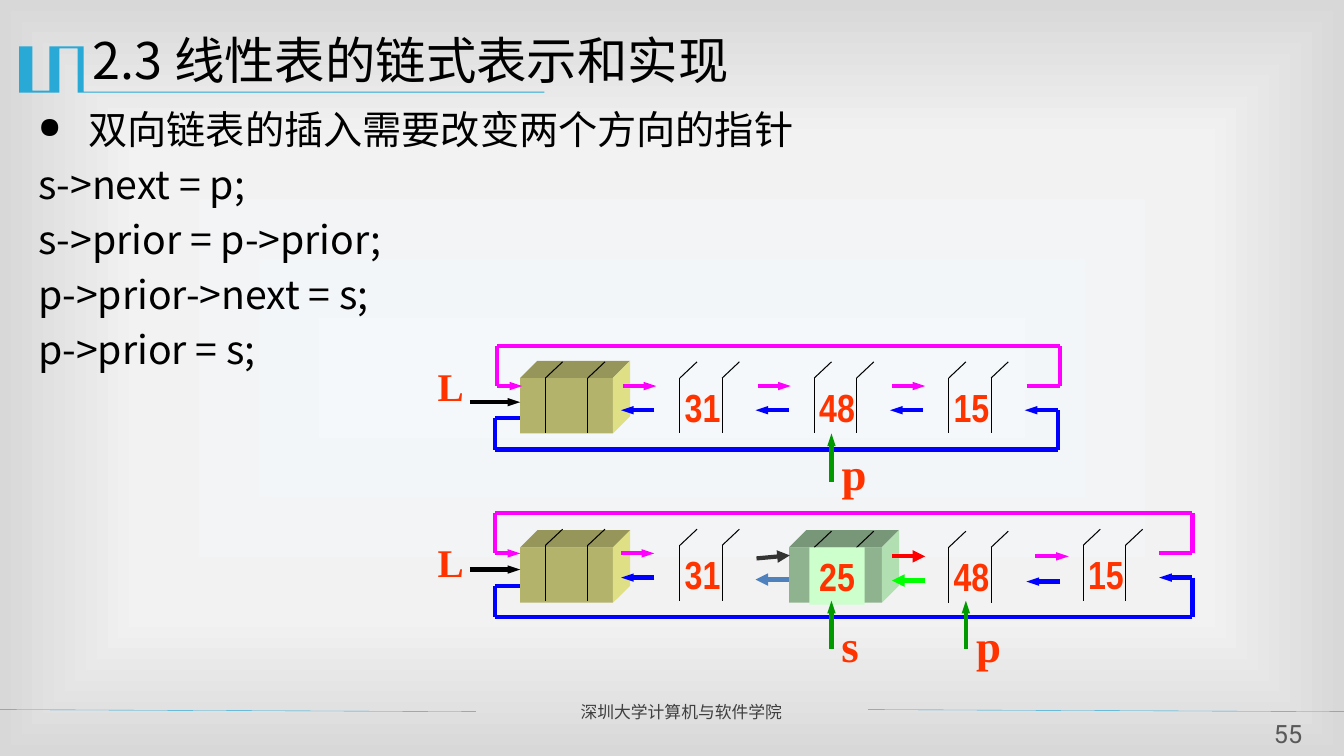
from dataclasses import dataclass

from lxml import etree
from pptx import Presentation
from pptx.dml.color import RGBColor
from pptx.enum.shapes import MSO_CONNECTOR, MSO_SHAPE
from pptx.enum.text import MSO_ANCHOR, PP_ALIGN
from pptx.oxml import parse_xml
from pptx.oxml.ns import nsdecls, qn
from pptx.util import Inches, Pt

STRAIGHT = MSO_CONNECTOR.STRAIGHT
RECT = MSO_SHAPE.RECTANGLE
TOP, MIDDLE = MSO_ANCHOR.TOP, MSO_ANCHOR.MIDDLE
LEFT, CENTER, JUSTIFY = PP_ALIGN.LEFT, PP_ALIGN.CENTER, PP_ALIGN.JUSTIFY


@dataclass(frozen=True)
class Theme:
    """Colours, fonts and type sizes of the slide."""
    accent: str = "28A9D6"
    ink: str = "000000"
    footer: str = "3F3F3F"
    number: str = "595959"
    label: str = "FF3300"
    next: str = "FF00FF"
    prior: str = "0000FF"
    pointer: str = "009900"
    head: tuple = ("B3B36B", "96965A", "DFDF86")
    fresh: tuple = ("8FB38F", "789678", "B2DFB2")
    patch: str = "CCFFCC"
    fresh_links: tuple = ("333333", "4F81BD", "FF0000", "00FF00")
    backdrop: tuple = ((0, "F4F8FB"), (63, "F2F2F2"), (100, "D8D8D8"))
    sans: str = "Noto Sans CJK SC"
    small_sans: str = "Roboto"
    narrow: str = "Arial Narrow"
    serif: str = "Times New Roman"
    title_pt: int = 36
    body_pt: int = 28
    pointer_pt: int = 32
    footer_pt: int = 12
    number_pt: int = 18


T = Theme()
PITCH = 4 / 3
BARS = (0.25, 0.67)
DEPTH = 0.17
FRONT_W, FRONT_H = 0.92, 0.55


def add_run(p, text, size, font, color, bold=False):
    """Add a formatted run to a paragraph."""
    r = p.add_run()
    r.text = text
    r.font.size, r.font.name, r.font.bold = Pt(size), font, bold
    r.font.color.rgb = RGBColor.from_string(color)
    etree.SubElement(r.font._element, qn("a:ea")).set("typeface", font)


def add_text(slide, box, text, size, font, color, align=CENTER, anchor=TOP, bold=False, wrap=False):
    """Place one line of text in a box."""
    tf = slide.shapes.add_textbox(*map(Inches, box)).text_frame
    tf.word_wrap, tf.vertical_anchor = wrap, anchor
    if not wrap:
        tf.margin_left = tf.margin_right = 0
    p = tf.paragraphs[0]
    p.alignment = align
    add_run(p, text, size, font, color, bold)
    return tf


def add_label(slide, box, text, size, font):
    """Place a bold label of the diagram, centred in its box."""
    add_text(slide, box, text, size, font, T.label, anchor=MIDDLE, bold=True)


def add_line(slide, start, end, color, width=3, arrow=None):
    """Draw a straight line, with an arrowhead of the given breadth at its end."""
    sp = slide.shapes.add_connector(STRAIGHT, *map(Inches, (*start, *end)))
    sp.line.color.rgb, sp.line.width = RGBColor.from_string(color), Pt(width)
    if arrow:
        tail = etree.SubElement(sp.line._get_or_add_ln(), qn("a:tailEnd"))
        tail.set("type", "triangle")
        tail.set("w", arrow)
    etree.SubElement(sp._element.spPr, qn("a:effectLst"))


def add_path(slide, points, color, width=3):
    """Draw a chain of straight lines through the points."""
    for start, end in zip(points, points[1:]):
        add_line(slide, start, end, color, width)


def paint(sp, color):
    """Give a shape a flat fill without outline or shadow."""
    sp.shadow.inherit = False
    sp.fill.solid()
    sp.fill.fore_color.rgb = RGBColor.from_string(color)
    sp.line.fill.background()


def add_rect(slide, box, color):
    """Draw a plain rectangle."""
    paint(slide.shapes.add_shape(RECT, *map(Inches, box)), color)


def add_outline(slide, points, color):
    """Draw a filled polygon."""
    builder = slide.shapes.build_freeform(*map(Inches, points[0]), scale=1.0)
    builder.add_line_segments([tuple(map(Inches, pt)) for pt in points[1:]])
    paint(builder.convert_to_shape(), color)


def add_block(slide, x, y, colors):
    """Draw a solid block with front, top and side faces."""
    front, top, side = colors
    right, bottom = x + FRONT_W, y + FRONT_H
    corner = (right + DEPTH, y - DEPTH)
    add_rect(slide, (x, y, FRONT_W, FRONT_H), front)
    add_outline(slide, [(x, y), (x + DEPTH, y - DEPTH), corner, (right, y)], top)
    add_outline(slide, [(right, y), corner, (right + DEPTH, bottom - DEPTH), (right, bottom)], side)


def add_node(slide, x, y, value="", fresh=False):
    """Draw the dividers of a node and its value, on a solid block if it is fresh."""
    if fresh:
        add_block(slide, x, y, T.fresh)
    for bar in (x + b for b in BARS):
        add_path(slide, [(bar + 0.17, y - 0.16), (bar, y), (bar, y + FRONT_H)], T.ink, 0.75)
    if fresh:
        add_rect(slide, (x + 0.2, y, 0.55, 0.57), T.patch)
    if value:
        add_label(slide, (x + 0.2, y, 0.55, 0.57), value, T.body_pt, T.narrow)


def draw_list(slide, x, y, nodes, links, pointers, shift, head_drop, label_rise, label_drop):
    """Draw a circular doubly linked list whose head node starts at x, y."""
    left, right = x - 0.25, x + PITCH * (len(nodes) + 1)
    add_label(slide, (x - 0.92, y - label_rise, 0.46, 0.57), "L", T.body_pt, T.serif)
    add_block(slide, x, y + head_drop, T.head)
    add_node(slide, x, y)
    add_line(slide, (x - 0.5, y + 0.24), (x, y + 0.24), T.ink, arrow="sm")
    for i, (value, drop, fresh) in enumerate(nodes, 1):
        add_node(slide, x + PITCH * i, y + drop, value, fresh)

    for i, (ahead, ahead_x, y0, y1, back, back_x, back_y, breadth) in enumerate(links):
        gap = x + PITCH * i + 1
        add_line(slide, (gap + ahead_x, y + y0), (gap + ahead_x + 0.33, y + y1), ahead, arrow=breadth)
        add_line(slide, (gap + back_x + 0.33, y + back_y), (gap + back_x, y + back_y), back, arrow=breadth)

    add_line(slide, (right, y + 0.32), (right - 0.33, y + 0.32), T.prior, arrow="sm")
    add_path(slide, [(right, y + 0.32), (right, y + 0.71), (left, y + 0.71), (left, y + 0.4),
                     (x, y + 0.4)], T.prior)
    near, far = left + shift, right + shift
    add_path(slide, [(far - 0.33, y + 0.08), (far, y + 0.08), (far, y - 0.32), (near, y - 0.32),
                     (near, y + 0.08)], T.next)
    add_line(slide, (near, y + 0.08), (x + shift, y + 0.08), T.next, arrow="sm")

    for name, index, width in pointers:
        tip = x + PITCH * index + 0.42
        add_line(slide, (tip, y + 1.03), (tip, y + FRONT_H), T.pointer, arrow="sm")
        add_label(slide, (tip, y + label_drop, width, 0.64), name, T.pointer_pt, T.serif)


def draw_backdrop(slide):
    """Fill the background with a gradient from the centre outwards."""
    stops = "".join(f'<a:gs pos="{pos * 1000}"><a:srgbClr val="{c}"/></a:gs>' for pos, c in T.backdrop)
    bg = parse_xml(f'<p:bg {nsdecls("p", "a")}><p:bgPr><a:gradFill rotWithShape="1"><a:gsLst>{stops}'
                   '</a:gsLst><a:path path="rect"><a:fillToRect l="50000" t="50000" r="50000" b="50000"/>'
                   '</a:path></a:gradFill><a:effectLst/></p:bgPr></p:bg>')
    slide._element.cSld.insert(0, bg)


def draw_title(slide, x, y, text):
    """Place the title and the square-wave ornament that underlines it."""
    top, low, base = y + 0.02, y + 0.44, y + 0.46
    add_outline(slide, [(x + 0.64, y), (x + 0.64, y + 0.45), (x + 5.21, y + 0.45), (x + 5.21, base),
                        (x + 0.58, base), (x + 0.58, top), (x + 0.4, top), (x + 0.4, base), (x, base),
                        (x, y), (x + 0.13, y), (x + 0.13, low), (x + 0.3, low), (x + 0.3, y)], T.accent)
    sp = slide.shapes.title
    sp.left, sp.top, sp.width, sp.height = map(Inches, (x + 0.63, y - 0.22, 12, 0.87))
    tf = sp.text_frame
    tf.vertical_anchor = TOP
    p = tf.paragraphs[0]
    p.alignment = LEFT
    add_run(p, text, T.title_pt, T.sans, T.ink)


def draw_body(slide, box, heading, code):
    """Place the bulleted heading and the code lines beneath it."""
    tf = slide.shapes.add_textbox(*map(Inches, box)).text_frame
    tf.word_wrap = True
    for i, text in enumerate([heading, *code]):
        p = tf.add_paragraph() if i else tf.paragraphs[0]
        p.space_before = Pt(5.6 if i else 0)
        if not i:
            pPr = p._p.get_or_add_pPr()
            pPr.set("marL", str(Inches(0.5)))
            pPr.set("indent", str(-Inches(0.5)))
            etree.SubElement(pPr, qn("a:buSzPct")).set("val", "75000")
            etree.SubElement(pPr, qn("a:buChar")).set("char", "●")
        add_run(p, text, T.body_pt, T.sans, T.ink)


def draw_footer(slide, y, width):
    """Place the footer rules, the school and the page number."""
    for start, end in ((0, 4.72), (8.61, width)):
        add_line(slide, (start, y), (end, y + 0.02), T.accent, 0.25)
    add_text(slide, (5.66, y - 0.13, 2.85, 0.3), "深圳大学计算机与软件学院", T.footer_pt, T.small_sans,
             T.footer, JUSTIFY, wrap=True)
    tf = add_text(slide, (12.48, y + 0.09, 0.59, 0.31), "55", T.number_pt, T.small_sans, T.number, wrap=True)
    tf.margin_left = tf.margin_top = tf.margin_right = tf.margin_bottom = 0


def main():
    """Build and save the slide."""
    prs = Presentation()
    prs.slide_width, prs.slide_height = Inches(13.33), Inches(7.5)
    slide = prs.slides.add_slide(prs.slide_layouts[5])
    draw_backdrop(slide)
    draw_title(slide, 0.19, 0.46, "2.3 线性表的链式表示和实现")
    draw_body(slide, (0.28, 1, 12.13, 5.63), "双向链表的插入需要改变两个方向的指针",
              ["s->next = p;", "s->prior = p->prior;", "p->prior->next = s;", "p->prior = s;"])
    plain = (T.next, 0.02, 0.08, 0.08, T.prior, 0, 0.32, "sm")
    draw_list(slide, 5.16, 3.75, [("31", 0, False), ("48", 0, False), ("15", 0, False)],
              [plain] * 3, [("p", 2, 0.45)], 0.02, 0, 0.21, 0.62)
    to_fresh, from_prior, to_p, from_p = T.fresh_links
    draw_list(slide, 5.16, 5.41,
              [("31", 0, False), ("25", 0.02, True), ("48", 0.02, False), ("15", 0, False)],
              [(T.next, 0, 0.08, 0.08, T.prior, 0, 0.32, "sm"),
               (to_fresh, 0.01, 0.13, 0.1, from_prior, 0, 0.34, "med"),
               (to_p, 0.02, 0.11, 0.11, from_p, 0.02, 0.35, "med"),
               (T.next, 0.11, 0.11, 0.11, T.prior, 0.02, 0.36, "sm")],
              [("s", 2, 0.37), ("p", 3, 0.45)], 0, 0.02, 0.12, 0.66)
    draw_footer(slide, 7.04, 13.33)
    prs.save("out.pptx")


if __name__ == "__main__":
    main()
